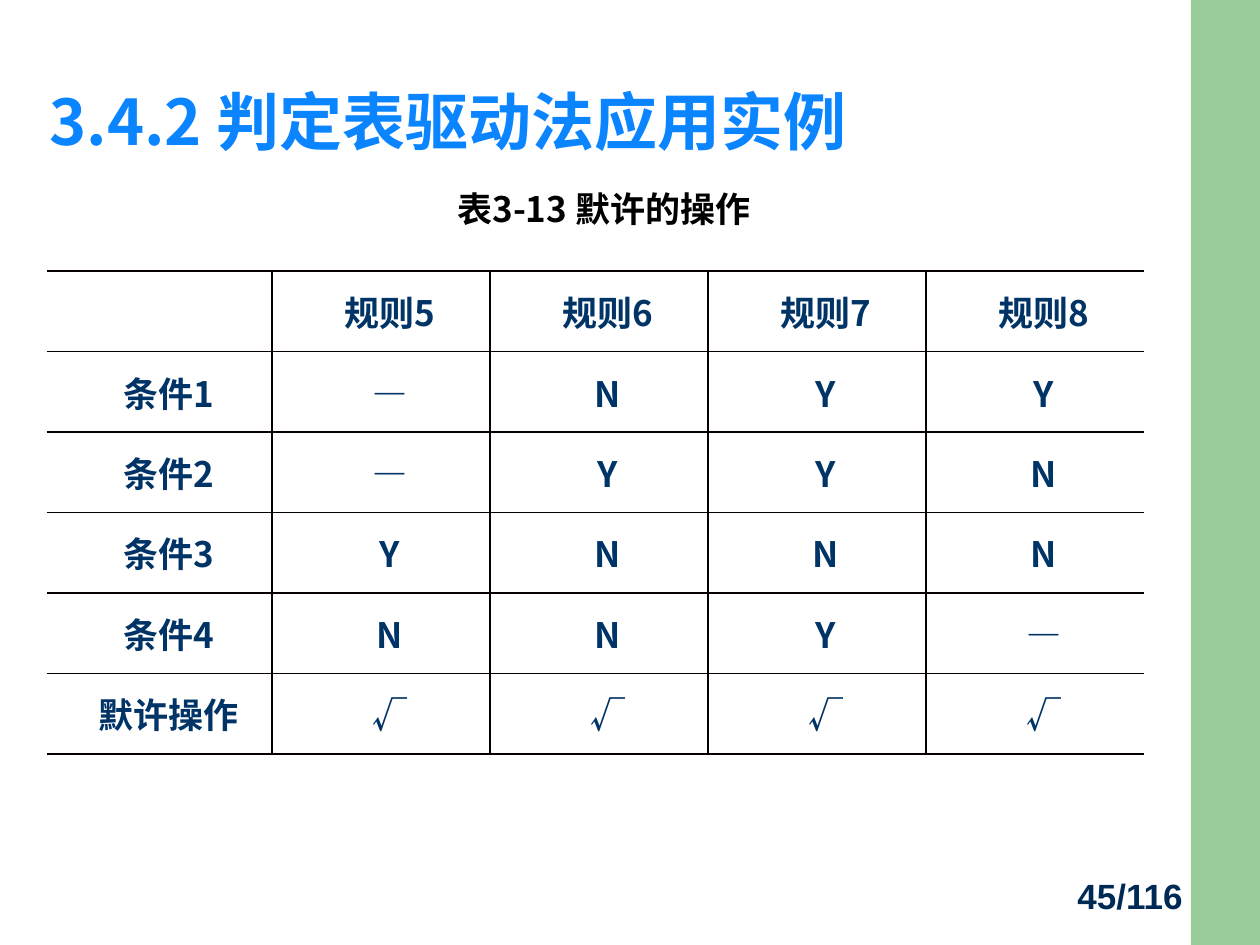
from dataclasses import dataclass
from typing import NamedTuple

from lxml import etree
from pptx import Presentation
from pptx import util as u
from pptx.dml.color import RGBColor
from pptx.enum import shapes, text
from pptx.oxml import ns

PX = 914400 // 126  # EMU in one px


@dataclass(frozen=True)
class Theme:
    band: str = "99CC99"
    title: str = "0A85FF"
    caption: str = "000000"
    cell: str = "003366"
    page: str = "002A56"
    rule: str = "080000"
    cjk: str = "Noto Sans CJK SC"
    latin: str = "Arial"
    title_size: int = 36
    text_size: int = 20


class Box(NamedTuple):
    left: int
    top: int
    width: int
    height: int

    def emu(self) -> list[int]:
        return [px(side) for side in self]


THEME = Theme()
BAND = Box(1191, 0, 69, 945)
TITLE = Box(37, 53, 1086, 113)
CAPTION = Box(37, 150, 1108, 669)
TABLE = Box(47, 271, 1097, 483)
PAGE = Box(1065, 868, 168, 63)
LABEL_WIDTH, RULE_WIDTH = 225, 218
RULES = [
    ["", "规则5", "规则6", "规则7", "规则8"],
    ["条件1", "―", "N", "Y", "Y"],
    ["条件2", "―", "Y", "Y", "N"],
    ["条件3", "Y", "N", "N", "N"],
    ["条件4", "N", "N", "Y", "―"],
    ["默许操作", "√", "√", "√", "√"],
]


def px(length: int) -> int:
    return u.Emu(length * PX)


def style(paragraph, size: int, color: str, font: str = THEME.cjk,
          align=text.PP_ALIGN.LEFT) -> None:
    """Set alignment and bold type on every run of a paragraph."""
    paragraph.alignment = align
    for run in paragraph.runs:
        run.font.size = u.Pt(size)
        run.font.bold = True
        run.font.color.rgb = RGBColor.from_string(color)
        run.font.name = font
        east_asian = etree.SubElement(run._r.get_or_add_rPr(), ns.qn("a:ea"))
        east_asian.set("typeface", font)


def indent(paragraph, margin: int, first_line: int) -> None:
    properties = paragraph._p.get_or_add_pPr()
    properties.set("marL", str(px(margin)))
    properties.set("indent", str(px(first_line)))


def place(placeholder, box: Box, content: str):
    """Move a placeholder, fill it and return its paragraph."""
    placeholder.left, placeholder.top, placeholder.width, placeholder.height = box.emu()
    frame = placeholder.text_frame
    frame.auto_size = text.MSO_AUTO_SIZE.NONE
    frame.text = content
    return frame.paragraphs[0]


def border(cell, side: str, visible: bool) -> None:
    line = etree.SubElement(cell._tc.get_or_add_tcPr(), ns.qn(f"a:ln{side}"))
    line.set("w", str(u.Pt(1)))
    if not visible:
        etree.SubElement(line, ns.qn("a:noFill"))
        return
    fill = etree.SubElement(line, ns.qn("a:solidFill"))
    etree.SubElement(fill, ns.qn("a:srgbClr")).set("val", THEME.rule)


def draw_cell(cell, content: str, first: bool, last: bool) -> None:
    cell.margin_left = cell.margin_right = px(9)
    cell.margin_top = cell.margin_bottom = 0
    cell.vertical_anchor = text.MSO_ANCHOR.MIDDLE
    # The table is open at its left and right edges
    for side, visible in (("L", not first), ("R", not last), ("T", True), ("B", True)):
        border(cell, side, visible)
    cell.fill.background()
    cell.text_frame.text = content
    paragraph = cell.text_frame.paragraphs[0]
    indent(paragraph, 0, 18)
    style(paragraph, THEME.text_size, THEME.cell, align=text.PP_ALIGN.CENTER)


def draw_table(slide) -> None:
    columns = len(RULES[0])
    table = slide.shapes.add_table(len(RULES), columns, *TABLE.emu()).table
    table.first_row = table.horz_banding = False
    for number, column in enumerate(table.columns):
        column.width = px(RULE_WIDTH if number else LABEL_WIDTH)
    for row, contents in enumerate(RULES):
        for number, content in enumerate(contents):
            draw_cell(table.cell(row, number), content, number == 0, number == columns - 1)


def main() -> None:
    deck = Presentation()
    deck.slide_width, deck.slide_height = px(1260), px(945)
    slide = deck.slides.add_slide(deck.slide_layouts[1])

    # Green band at the right edge
    band = slide.shapes.add_shape(shapes.MSO_SHAPE.RECTANGLE, *BAND.emu())
    band.shadow.inherit = False
    band.fill.solid()
    band.fill.fore_color.rgb = RGBColor.from_string(THEME.band)
    band.line.fill.background()

    # Heading
    heading = place(slide.shapes.title, TITLE, "3.4.2 判定表驱动法应用实例")
    slide.shapes.title.text_frame.vertical_anchor = text.MSO_ANCHOR.BOTTOM
    heading.line_spacing = 0.9
    style(heading, THEME.title_size, THEME.title)

    # Table caption
    body = slide.placeholders[1]
    caption = place(body, CAPTION, "表3-13 默许的操作")
    body.text_frame.margin_top = px(37)
    indent(caption, 26, 0)
    caption.space_before = u.Pt(0)
    etree.SubElement(caption._p.get_or_add_pPr(), ns.qn("a:buNone"))
    style(caption, THEME.text_size, THEME.caption, align=text.PP_ALIGN.CENTER)

    # Decision table
    draw_table(slide)

    # Page number
    page = slide.shapes.add_textbox(*PAGE.emu()).text_frame
    page.word_wrap = True
    page.text = "45/116"
    style(page.paragraphs[0], THEME.text_size, THEME.page, THEME.latin)

    deck.save("out.pptx")


if __name__ == "__main__":
    main()
